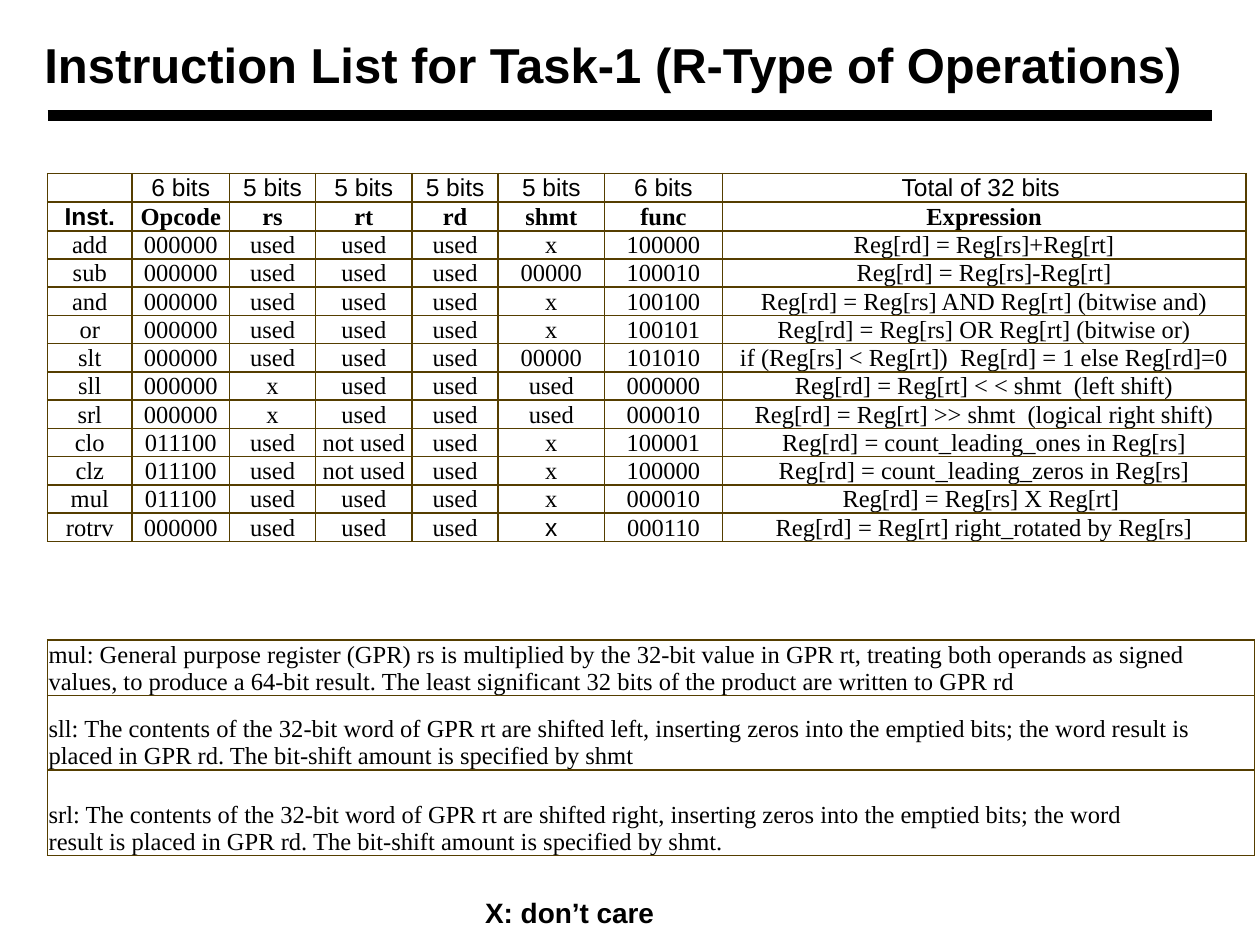
from typing import NamedTuple

from lxml.etree import SubElement
from pptx import Presentation
from pptx.dml.color import RGBColor
from pptx.enum.shapes import MSO_CONNECTOR as Connector
from pptx.enum.text import MSO_ANCHOR as Anchor, MSO_AUTO_SIZE as AutoSize, PP_ALIGN as Align
from pptx.oxml.ns import qn
from pptx.util import Cm, Pt

COLORS = {"text": "000000", "rule": "000000", "border": "553E00"}
SANS, SERIF = "Arial", "Times New Roman"
LEFT = 0.96


class Instruction(NamedTuple):
    name: str
    opcode: str
    rs: str
    rt: str
    rd: str
    shmt: str
    func: str
    expression: str


BITS = Instruction("", "6 bits", "5 bits", "5 bits", "5 bits", "5 bits", "6 bits",
                   "Total of 32 bits ")
FIELDS = Instruction("Inst.", "Opcode", "rs", "rt", "rd", "shmt", "func", "Expression")
INSTRUCTIONS = [
    Instruction("add", "000000", "used", "used", "used", "x", "100000",
                "Reg[rd] = Reg[rs]+Reg[rt]"),
    Instruction("sub", "000000", "used", "used", "used", "00000", "100010",
                "Reg[rd] = Reg[rs]-Reg[rt]"),
    Instruction("and", "000000", "used", "used", "used", "x", "100100",
                "Reg[rd] = Reg[rs] AND Reg[rt] (bitwise and)"),
    Instruction("or", "000000", "used", "used", "used", "x", "100101",
                "Reg[rd] = Reg[rs] OR Reg[rt] (bitwise or)"),
    Instruction("slt", "000000", "used", "used", "used", "00000", "101010",
                "if (Reg[rs] < Reg[rt])  Reg[rd] = 1 else Reg[rd]=0"),
    Instruction("sll", "000000", "x", "used", "used", "used", "000000",
                "Reg[rd] = Reg[rt] < < shmt  (left shift)"),
    Instruction("srl", "000000", "x", "used", "used", "used", "000010",
                "Reg[rd] = Reg[rt] >> shmt  (logical right shift)"),
    Instruction("clo", "011100", "used", "not used", "used", "x", "100001",
                "Reg[rd] = count_leading_ones in Reg[rs]"),
    Instruction("clz", "011100", "used", "not used", "used", "x", "100000",
                "Reg[rd] = count_leading_zeros in Reg[rs]"),
    Instruction("mul", "011100", "used", "used", "used", "x", "000010",
                "Reg[rd] = Reg[rs] X Reg[rt] "),
    Instruction("rotrv", "000000", "used", "used", "used", "x", "000110",
                "Reg[rd] = Reg[rt] right_rotated by Reg[rs]"),
]
NOTES = [
    "mul: General purpose register (GPR) rs is multiplied by the 32-bit value in GPR rt, "
    "treating both operands as signed values, to produce a 64-bit result. The least "
    "significant 32 bits of the product are written to GPR rd",
    "sll: The contents of the 32-bit word of GPR rt are shifted left, inserting zeros into "
    "the emptied bits; the word result is placed in GPR rd. The bit-shift amount is "
    "specified by shmt",
    "srl: The contents of the 32-bit word of GPR rt are shifted right, inserting zeros into "
    "the emptied bits; the word\nresult is placed in GPR rd. The bit-shift amount is "
    "specified by shmt.",
]


def set_text(p, text: str, size: int, face: str = SANS, bold: bool = False,
             align=Align.LEFT) -> None:
    p.text = text.replace("\n", "\v")
    p.alignment = align
    p.font.name, p.font.size, p.font.bold = face, Pt(size), bold
    p.font.color.rgb = RGBColor.from_string(COLORS["text"])


def set_borders(cell) -> None:
    tc_pr = cell._tc.get_or_add_tcPr()
    for side in ("lnL", "lnR", "lnT", "lnB"):
        ln = SubElement(tc_pr, qn(f"a:{side}"), w=str(Pt(1)))
        fill = SubElement(ln, qn("a:solidFill"))
        SubElement(fill, qn("a:srgbClr"), val=COLORS["border"])


def add_grid(slide, top: float, widths: list[float], heights: list[float]):
    """Add a plain bordered table; lengths are in centimetres."""
    table = slide.shapes.add_table(len(heights), len(widths), Cm(LEFT), Cm(top),
                                   Cm(sum(widths)), Cm(sum(heights))).table
    table.first_row = table.horz_banding = False
    for column, width in zip(table.columns, widths):
        column.width = Cm(width)
    for row, height in zip(table.rows, heights):
        row.height = Cm(height)
    for cell in table.iter_cells():
        cell.margin_left = cell.margin_right = cell.margin_top = Cm(0.02)
        cell.margin_bottom = Cm(0)
        cell.vertical_anchor = Anchor.BOTTOM
        set_borders(cell)
        cell.fill.background()
    return table


prs = Presentation()
prs.slide_width, prs.slide_height = Cm(25.4), Cm(19.05)
slide = prs.slides.add_slide(prs.slide_layouts[5])

# Title and rule
title = slide.shapes.title
title.left, title.top, title.width, title.height = Cm(0.64), Cm(0.43), Cm(24.33), Cm(1.7)
tf = title.text_frame
tf.auto_size, tf.word_wrap, tf.vertical_anchor = AutoSize.NONE, True, Anchor.MIDDLE
set_text(tf.paragraphs[0], "Instruction List for Task-1 (R-Type of Operations)", 28, bold=True)

rule = slide.shapes.add_connector(Connector.STRAIGHT, Cm(LEFT), Cm(2.33), Cm(24.44), Cm(2.33))
rule.line.width = Pt(6)
rule.line.color.rgb = RGBColor.from_string(COLORS["rule"])
SubElement(rule._element.spPr, qn("a:effectLst"))

# Instruction table
rows = [BITS, FIELDS, *INSTRUCTIONS]
table = add_grid(slide, 3.5, [1.7, 1.97, 1.73, 1.95, 1.73, 2.15, 2.37, 10.56],
                 [0.57] * len(rows))
sans_cells = {(FIELDS.name, "name"), ("rotrv", "shmt")}
for i, row in enumerate(rows):
    for j, (field, text) in enumerate(zip(row._fields, row)):
        face = SANS if row is BITS or (row.name, field) in sans_cells else SERIF
        set_text(table.cell(i, j).text_frame.paragraphs[0], text, 14, face,
                 row is FIELDS, Align.CENTER)

# Explanations
notes = add_grid(slide, 12.9, [24.33], [1.12, 1.5, 1.73])
for i, note in enumerate(NOTES):
    set_text(notes.cell(i, 0).text_frame.paragraphs[0], note, 14, SERIF)

# Legend
legend = slide.shapes.add_textbox(Cm(9.53), Cm(17.93), Cm(3.96), Cm(0.94))
tf = legend.text_frame
tf.word_wrap, tf.auto_size = False, AutoSize.SHAPE_TO_FIT_TEXT
set_text(tf.paragraphs[0], "X: don’t care", 16, bold=True)

prs.save("out.pptx")
